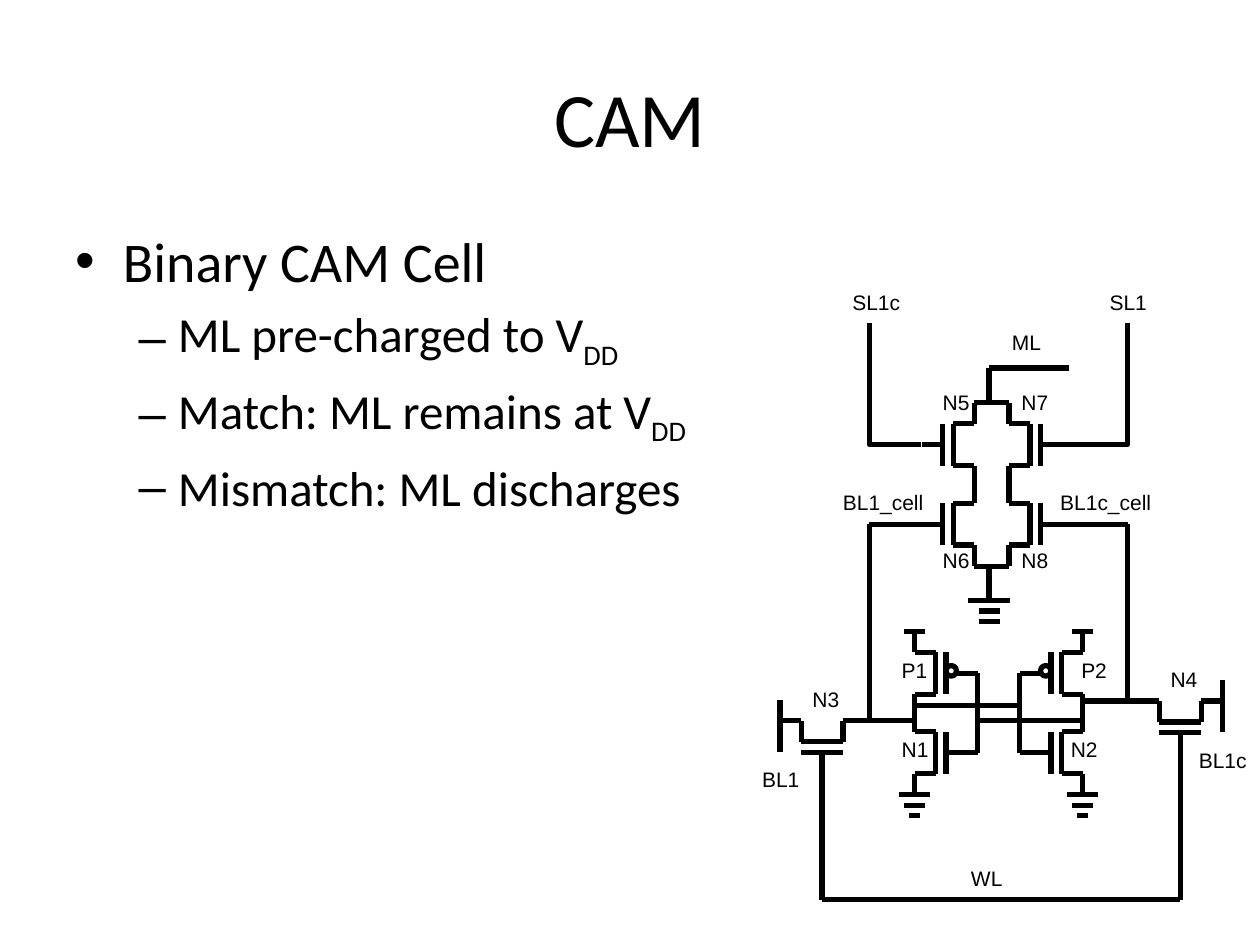
from lxml.etree import SubElement
from pptx import Presentation
from pptx.dml.color import RGBColor
from pptx.enum.shapes import MSO_CONNECTOR, MSO_SHAPE
from pptx.enum.text import MSO_ANCHOR, PP_ALIGN
from pptx.oxml.ns import qn
from pptx.util import Inches, Pt

COLS, ROWS = 120, 90


def color(value):
    return RGBColor.from_string(value)


class CircuitSlide:
    ink = "000000"
    text_font, label_font = "Calibri", "Arial"
    line_width = Pt(3)

    def __init__(self, prs):
        self.cell_w = prs.slide_width / COLS
        self.cell_h = prs.slide_height / ROWS
        self.slide = prs.slides.add_slide(prs.slide_layouts[1])
        self.circuit = self.slide.shapes.add_group_shape().shapes

    def place(self, col, row):
        return round(col * self.cell_w), round(row * self.cell_h)

    def run(self, p, text, size, font, subscript=False):
        r = p.add_run()
        r.text = text
        r.font.size = Pt(size)
        r.font.name = font
        r.font.color.rgb = color(self.ink)
        if subscript:
            r._r.get_or_add_rPr().set("baseline", "-25000")

    def placeholder(self, sp, col, row, cols, rows):
        sp.left, sp.top = self.place(col, row)
        sp.width, sp.height = self.place(cols, rows)
        return sp.text_frame

    def title(self, text):
        tf = self.placeholder(self.slide.shapes.title, 6, 3.6, 108, 15)
        tf.vertical_anchor = MSO_ANCHOR.MIDDLE
        tf.paragraphs[0].alignment = PP_ALIGN.CENTER
        self.run(tf.paragraphs[0], text, 44, self.text_font)

    def bullets(self, items):
        tf = self.placeholder(self.slide.placeholders[1], 6, 21, 108, 59.4)
        for i, (level, size, text, sub) in enumerate(items):
            p = tf.add_paragraph() if i else tf.paragraphs[0]
            p.level = level
            self.run(p, text, size, self.text_font)
            if sub:
                self.run(p, sub, size, self.text_font, subscript=True)

    def label(self, text, col, row, cols=7):
        sp = self.circuit.add_textbox(*self.place(col, row), *self.place(cols, 3.6))
        tf = sp.text_frame
        tf.word_wrap = True
        self.run(tf.paragraphs[0], text, 12, self.label_font)

    def connector(self, kind, start, end):
        cxn = self.circuit.add_connector(kind, *self.place(*start), *self.place(*end))
        cxn.line.color.rgb = color(self.ink)
        cxn.line.width = self.line_width
        SubElement(cxn._element.spPr, qn("a:effectLst"))
        return cxn

    def wire(self, *points):
        for start, end in zip(points, points[1:]):
            self.connector(MSO_CONNECTOR.STRAIGHT, start, end)

    def elbow(self, start, end):
        cxn = self.connector(MSO_CONNECTOR.ELBOW, start, end)
        geom = cxn._element.spPr.find(qn("a:prstGeom"))
        guides = geom.find(qn("a:avLst"))
        if guides is None:
            guides = SubElement(geom, qn("a:avLst"))
        SubElement(guides, qn("a:gd"), name="adj1", fmla="val 0")

    def bubble(self, col, row):
        sp = self.circuit.add_shape(
            MSO_SHAPE.OVAL, *self.place(col - 0.5, row - 0.5), *self.place(1, 1))
        sp.shadow.inherit = False
        sp.fill.background()
        sp.line.color.rgb = color(self.ink)
        sp.line.width = self.line_width

    def transistor(self, col, row, side=1, upright=True, pmos=False, lead=2):
        def at(toward_gate, along):
            if upright:
                return col + side * toward_gate, row + along
            return col + along, row + side * toward_gate

        gate = 4 if pmos else 3
        self.wire(at(0, -4), at(0, -2), at(2, -2), at(2, 2), at(0, 2), at(0, 4))
        self.wire(at(3, -2), at(3, 2))
        self.wire(at(gate, 0), at(gate + lead, 0))
        if pmos:
            self.bubble(col + side * 3.5, row - 0.25)

    def ground(self, col, row, widths):
        for i, width in enumerate(widths):
            self.wire((col - width / 2, row + i), (col + width / 2, row + i))

    def inverter(self, col, side):
        top, bottom = 64.14, 71.7
        self.transistor(col, top, side, pmos=True)
        self.transistor(col, bottom, side)
        gate = col + side * 6
        self.wire((gate, top), (gate, bottom), (col + side * 5, bottom))
        self.wire((col - 1, top - 4), (col + 1, top - 4))
        self.ground(col, bottom + 4, (3, 2, 1))


def main():
    prs = Presentation()
    prs.slide_width, prs.slide_height = Inches(10), Inches(7.5)
    s = CircuitSlide(prs)
    s.title("CAM")
    s.bullets([
        (0, 32, "Binary CAM Cell", ""),
        (1, 28, "ML pre-charged to V", "DD"),
        (1, 28, "Match: ML remains at V", "DD"),
        (1, 28, "Mismatch: ML discharges", ""),
    ])

    search_row, cell_row = 42.36, 49.92
    left_bit, right_bit = 82.8, 107.4
    left_node, right_node = 68.64, 66.76
    left_inv, right_inv = 87.1, 103.1
    left_pull, right_pull, match = 92.8, 96.1, 94.2
    left_access, right_access = 78.3, 112.4

    for row in (search_row, cell_row):
        s.transistor(left_pull, row, -1)
        s.transistor(right_pull, row, 1)
    s.elbow((left_bit, 30.8), (87.7, search_row))
    s.elbow((right_bit, 30.8), (99, search_row))

    match_row, ground_row = search_row - 4, cell_row + 4
    s.wire((left_pull, match_row), (right_pull, match_row))
    s.wire((match, match_row), (match, 35.04), (101.8, 35.04))
    s.wire((left_pull, ground_row), (right_pull, ground_row))
    s.wire((match, ground_row), (match, 57.2))
    s.ground(match, 57.2, (4, 2, 2))

    s.inverter(left_inv, 1)
    s.inverter(right_inv, -1)
    s.wire((left_inv, 67.2), (right_inv - 6, 67.2))
    s.wire((left_inv + 6, left_node), (right_inv, left_node))

    for access, node, bit_line in ((left_access, left_node, left_access - 4),
                                   (right_access, right_node, right_access + 4)):
        s.transistor(access, node, upright=False)
        s.wire((bit_line, node - 2), (bit_line, node + 3))
    s.wire((left_access + 3, left_node), (left_inv, left_node))
    s.wire((right_inv, right_node), (right_access - 3.6, right_node))
    s.wire((left_bit, left_node), (left_bit, cell_row), (88.1, cell_row))
    s.wire((right_bit, right_node), (right_bit, cell_row), (100.8, cell_row))
    s.wire((left_access, 73.3), (left_access, 85.7),
           (right_access, 85.7), (right_access, 71.4))

    for text, col, row in (
        ("BL1c", 113, 70.6), ("BL1", 71.4, 72.4), ("WL", 91.3, 81.8),
        ("SL1c", 80, 27), ("SL1", 104.5, 27), ("ML", 95.2, 30.8),
        ("P1", 84.7, 62), ("P2", 101.8, 62),
        ("N1", 84.7, 69.6), ("N2", 100.8, 69.6),
        ("N3", 76.2, 64.8), ("N4", 110.3, 62.9),
        ("N5", 88.6, 36.5), ("N7", 96.1, 36.5),
        ("N6", 88.6, 51.6), ("N8", 96.1, 51.6),
    ):
        s.label(text, col, row)
    s.label("BL1c_cell", 99.8, 46, 11.3)
    s.label("BL1_cell", 79.1, 46, 11.3)
    prs.save("out.pptx")


if __name__ == "__main__":
    main()
